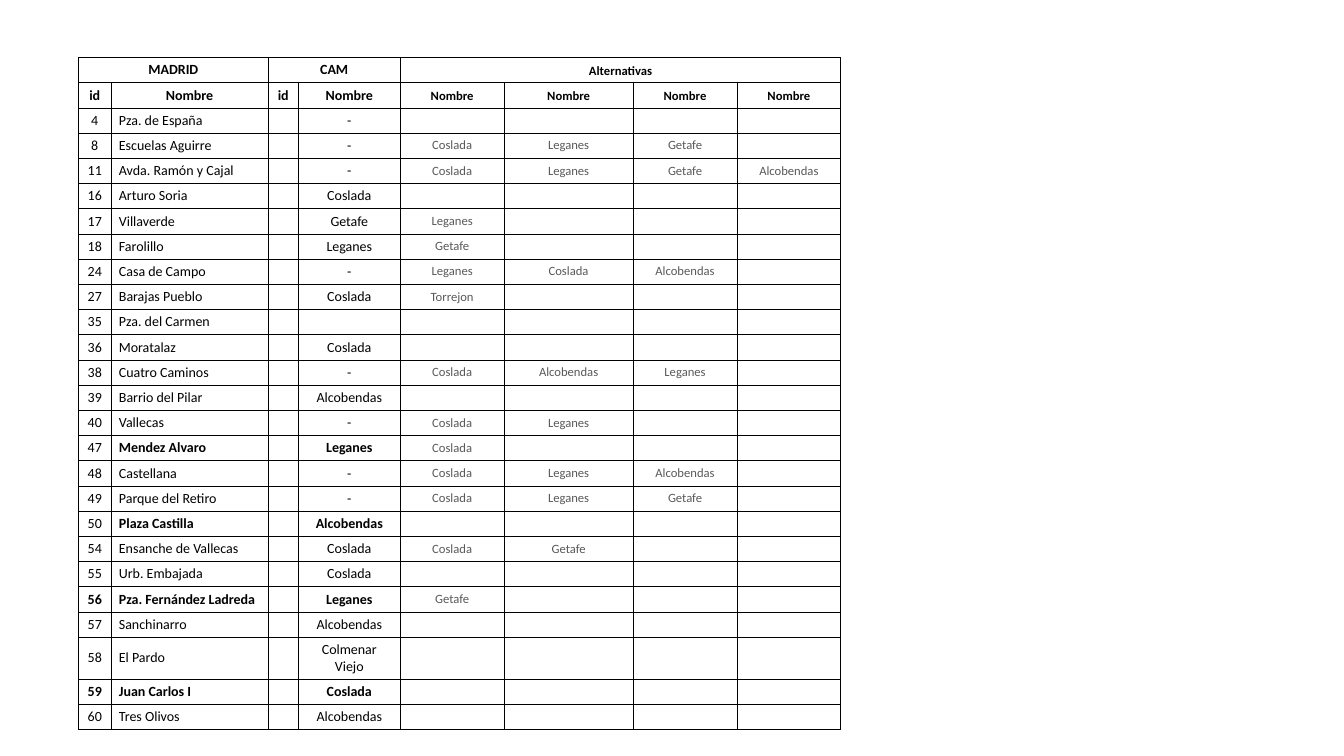
from dataclasses import dataclass

from lxml.etree import SubElement
from pptx import Presentation
from pptx.dml.color import RGBColor
from pptx.enum.text import MSO_ANCHOR as ANCHOR, PP_ALIGN as ALIGN
from pptx.oxml.ns import qn
from pptx.util import Inches, Pt


@dataclass(frozen=True)
class Theme:
    font: str = "Calibri"
    ink: str = "000000"
    muted: str = "595959"
    body: int = 10
    small: int = 9
    border: float = 0.5


T = Theme()
COLS = [0.32, 1.56, 0.3, 1.01, 1.03, 1.28, 1.03, 1.03]
ROW_H = 0.25
ALT = 4  # first column of alternatives

# First column, last column, text, anchor
GROUPS = [
    (0, 1, "MADRID", ANCHOR.BOTTOM),
    (2, 3, "CAM", ANCHOR.MIDDLE),
    (4, 7, "Alternativas", ANCHOR.BOTTOM),
]
HEADS = ["id", "Nombre"] * 2 + ["Nombre"] * 4

# Id, Madrid station, CAM station, alternatives
STATIONS = [
    ("4", "Pza. de España", "-"),
    ("8", "Escuelas Aguirre", "-", "Coslada", "Leganes", "Getafe"),
    ("11", "Avda. Ramón y Cajal", "-", "Coslada", "Leganes", "Getafe", "Alcobendas"),
    ("16", "Arturo Soria", "Coslada"),
    ("17", "Villaverde", "Getafe", "Leganes"),
    ("18", "Farolillo", "Leganes", "Getafe"),
    ("24", "Casa de Campo", "-", "Leganes", "Coslada", "Alcobendas"),
    ("27", "Barajas Pueblo", "Coslada", "Torrejon"),
    ("35", "Pza. del Carmen", ""),
    ("36", "Moratalaz", "Coslada"),
    ("38", "Cuatro Caminos", "-", "Coslada", "Alcobendas", "Leganes"),
    ("39", "Barrio del Pilar", "Alcobendas"),
    ("40", "Vallecas", "-", "Coslada", "Leganes"),
    ("47", "Mendez Alvaro", "Leganes", "Coslada"),
    ("48", "Castellana", "-", "Coslada", "Leganes", "Alcobendas"),
    ("49", "Parque del Retiro", "-", "Coslada", "Leganes", "Getafe"),
    ("50", "Plaza Castilla", "Alcobendas"),
    ("54", "Ensanche de Vallecas", "Coslada", "Coslada", "Getafe"),
    ("55", "Urb. Embajada", "Coslada"),
    ("56", "Pza. Fernández Ladreda", "Leganes", "Getafe"),
    ("57", "Sanchinarro", "Alcobendas"),
    ("58", "El Pardo", "Colmenar Viejo"),
    ("59", "Juan Carlos I", "Coslada"),
    ("60", "Tres Olivos", "Alcobendas"),
]
BOLD_NAMES = {"47", "50", "56", "59"}
BOLD_IDS = {"56", "59"}


def style_cell(cell):
    """Thin border on every side, no fill, tight margins."""
    tc_pr = cell._tc.get_or_add_tcPr()
    for side in ("lnL", "lnR", "lnT", "lnB"):
        ln = SubElement(tc_pr, qn(f"a:{side}"), w=str(Pt(T.border)))
        fill = SubElement(ln, qn("a:solidFill"))
        SubElement(fill, qn("a:srgbClr"), val=T.ink)
    cell.fill.background()
    cell.margin_left = cell.margin_right = Inches(0.08)
    cell.margin_top = cell.margin_bottom = Inches(0.04)


def write(cell, text, size=T.body, color=T.ink, bold=False,
          align=ALIGN.CENTER, anchor=ANCHOR.MIDDLE):
    cell.vertical_anchor = anchor
    p = cell.text_frame.paragraphs[0]
    p.alignment = align
    if not text:  # keeps an empty cell from stretching its row
        SubElement(p._p, qn("a:endParaRPr"), sz=str(T.small * 100))
        return
    r = p.add_run()
    r.text = text
    r.font.name, r.font.size, r.font.bold = T.font, Pt(size), bold
    r.font.color.rgb = RGBColor.from_string(color)


def header_rows(table):
    for first, last, text, anchor in GROUPS:
        size = T.small if first >= ALT else T.body
        table.cell(0, first).merge(table.cell(0, last))
        write(table.cell(0, first), text, size=size, bold=True, anchor=anchor)
        for col in range(first, last + 1):
            write(table.cell(1, col), HEADS[col], size=size, bold=True, anchor=anchor)


def station_row(table, row, station):
    number, name, cam, *alternatives = station
    bold = number in BOLD_NAMES
    write(table.cell(row, 0), number, bold=number in BOLD_IDS)
    write(table.cell(row, 1), name, bold=bold, align=ALIGN.LEFT)
    write(table.cell(row, 2), "")
    write(table.cell(row, 3), cam, bold=bold)
    for col in range(ALT, len(COLS)):
        text = alternatives[col - ALT] if col - ALT < len(alternatives) else ""
        write(table.cell(row, col), text, size=T.small, color=T.muted)


def station_table(s, left, top):
    n_rows = len(STATIONS) + 2
    frame = s.shapes.add_table(n_rows, len(COLS), Inches(left), Inches(top),
                               Inches(sum(COLS)), Inches(n_rows * ROW_H))
    table = frame.table
    table.first_row = table.horz_banding = False
    for col, width in zip(table.columns, COLS):
        col.width = Inches(width)
    for row in table.rows:
        row.height = Inches(ROW_H)
    for cell in table.iter_cells():
        style_cell(cell)
    header_rows(table)
    for row, station in enumerate(STATIONS, start=2):
        station_row(table, row, station)
    # The two-line name needs a taller row
    tall = [st[0] for st in STATIONS].index("58") + 2
    table.rows[tall].height = Inches(0.42)


def main():
    prs = Presentation()
    prs.slide_width, prs.slide_height = Inches(13.33), Inches(7.5)
    s = prs.slides.add_slide(prs.slide_layouts[6])
    station_table(s, 0.78, 0.57)
    prs.save("out.pptx")


if __name__ == "__main__":
    main()
